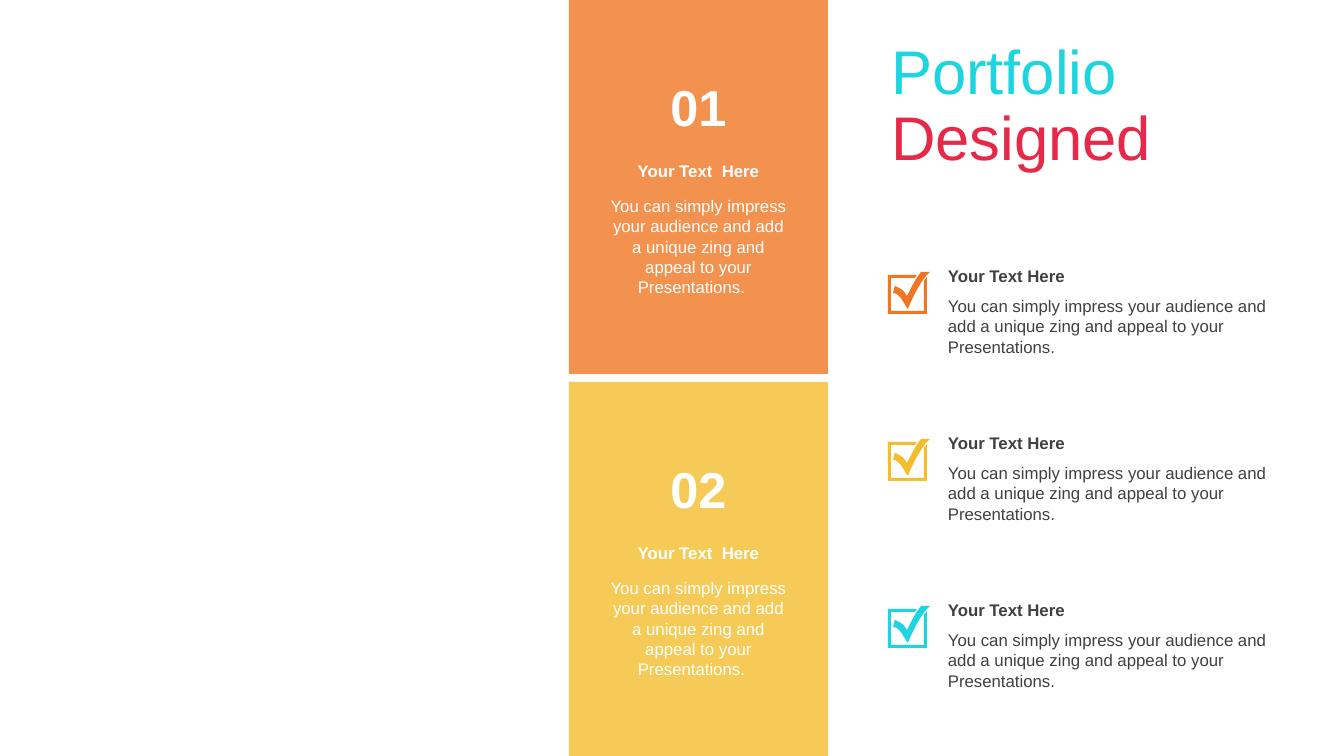
from lxml import etree
from pptx import Presentation
from pptx.dml.color import RGBColor
from pptx.enum.shapes import MSO_SHAPE
from pptx.enum.text import MSO_ANCHOR, PP_ALIGN
from pptx.oxml.ns import qn
from pptx.util import Pt

PX = 914400 / 100.8
LEFT, CENTER = PP_ALIGN.LEFT, PP_ALIGN.CENTER
TOP = MSO_ANCHOR.TOP
RECTANGLE = MSO_SHAPE.RECTANGLE

ORANGE = RGBColor(0xF0, 0x76, 0x24)
YELLOW = RGBColor(0xF4, 0xBD, 0x2D)
CYAN = RGBColor(0x1E, 0xD4, 0xDE)
RED = RGBColor(0xE6, 0x29, 0x49)
WHITE = RGBColor(0xFF, 0xFF, 0xFF)
GREY = RGBColor(0x40, 0x40, 0x40)

BODY = ("You can simply impress your audience and add a unique zing "
        "and appeal to your Presentations.")

# Check mark in px: the open frame, then the tick as Bézier curves
FRAME = [(0, 3), (29, 3), (27, 6), (3, 6), (3, 39), (36, 39), (36, 9),
         (39, 5), (39, 42), (0, 42)]
TICK_START = (42, 0)
TICK_CURVES = [
    [(42, 0), (34, 7), (25, 24), (20, 37)],
    [(20, 37), (16, 32), (12, 21), (5, 21)],
    [(5, 21), (6, 19), (6, 16), (7, 14)],
    [(7, 14), (14, 17), (16, 19), (19, 24)],
    [(19, 24), (24, 15), (25, 11), (33, 0)],
]
STEPS = 8


def emu(*lengths):
    return [round(length * PX) for length in lengths]


def add_text(page, bounds, text, size, color, bold=False, align=LEFT):
    box = page.shapes.add_textbox(*emu(*bounds))
    frame = box.text_frame
    frame.word_wrap = True
    frame.text = text
    para = frame.paragraphs[0]
    para.alignment = align
    font = para.runs[0].font
    font.name, font.size, font.bold = "Arial", Pt(size), bold
    font.color.rgb = color


deck = Presentation()
deck.slide_width, deck.slide_height = emu(1344, 756)
page = deck.slides.add_slide(deck.slide_layouts[5])

# Title
title = page.shapes.title
title.left, title.top, title.width, title.height = emu(881, 36, 342, 158)
frame = title.text_frame
frame.word_wrap = True
frame.vertical_anchor = TOP
para = frame.paragraphs[0]
para.alignment = LEFT
para.line_spacing = 0.9
for word, color in [("Portfolio ", CYAN), ("Designed", RED)]:
    span = para.add_run()
    span.text = word
    span.font.name, span.font.size = "Arial", Pt(44)
    span.font.color.rgb = color

# Numbered cards
for index, color in enumerate([ORANGE, YELLOW]):
    top = index * 382
    card = page.shapes.add_shape(RECTANGLE, *emu(569, top, 259, 374))
    card.shadow.inherit = False
    card.line.fill.background()
    card.fill.solid()
    card.fill.fore_color.rgb = color
    tint = card.fill._xPr.find(".//" + qn("a:srgbClr"))
    etree.SubElement(tint, qn("a:alpha")).set("val", "80000")

    add_text(page, (649, top + 71, 99, 71), f"0{index + 1}", 36, WHITE, True, CENTER)
    add_text(page, (600, top + 156, 197, 30), "Your Text  Here", 12, WHITE, True, CENTER)
    add_text(page, (600, top + 191, 197, 112), BODY + "   ", 12, WHITE, align=CENTER)

# Checklist
for index, color in enumerate([ORANGE, YELLOW, CYAN]):
    top = 261 + index * 167
    add_text(page, (938, top, 339, 30), "Your Text Here", 12, GREY, True)
    add_text(page, (938, top + 30, 342, 72), BODY, 12, GREY)

    builder = page.shapes.build_freeform(*emu(*FRAME[0]))
    builder.add_line_segments([emu(*point) for point in FRAME[1:]])
    builder.move_to(*emu(*TICK_START))
    tick = []
    for curve in TICK_CURVES:
        for step in range(1, STEPS + 1):
            t = step / STEPS
            weights = [(1 - t) ** 3, 3 * t * (1 - t) ** 2, 3 * t * t * (1 - t), t ** 3]
            tick.append(emu(*[sum(w * value for w, value in zip(weights, axis))
                              for axis in zip(*curve)]))
    builder.add_line_segments(tick)
    check = builder.convert_to_shape(*emu(888, top + 11))
    check.shadow.inherit = False
    check.line.fill.background()
    check.fill.solid()
    check.fill.fore_color.rgb = color

deck.save("out.pptx")
